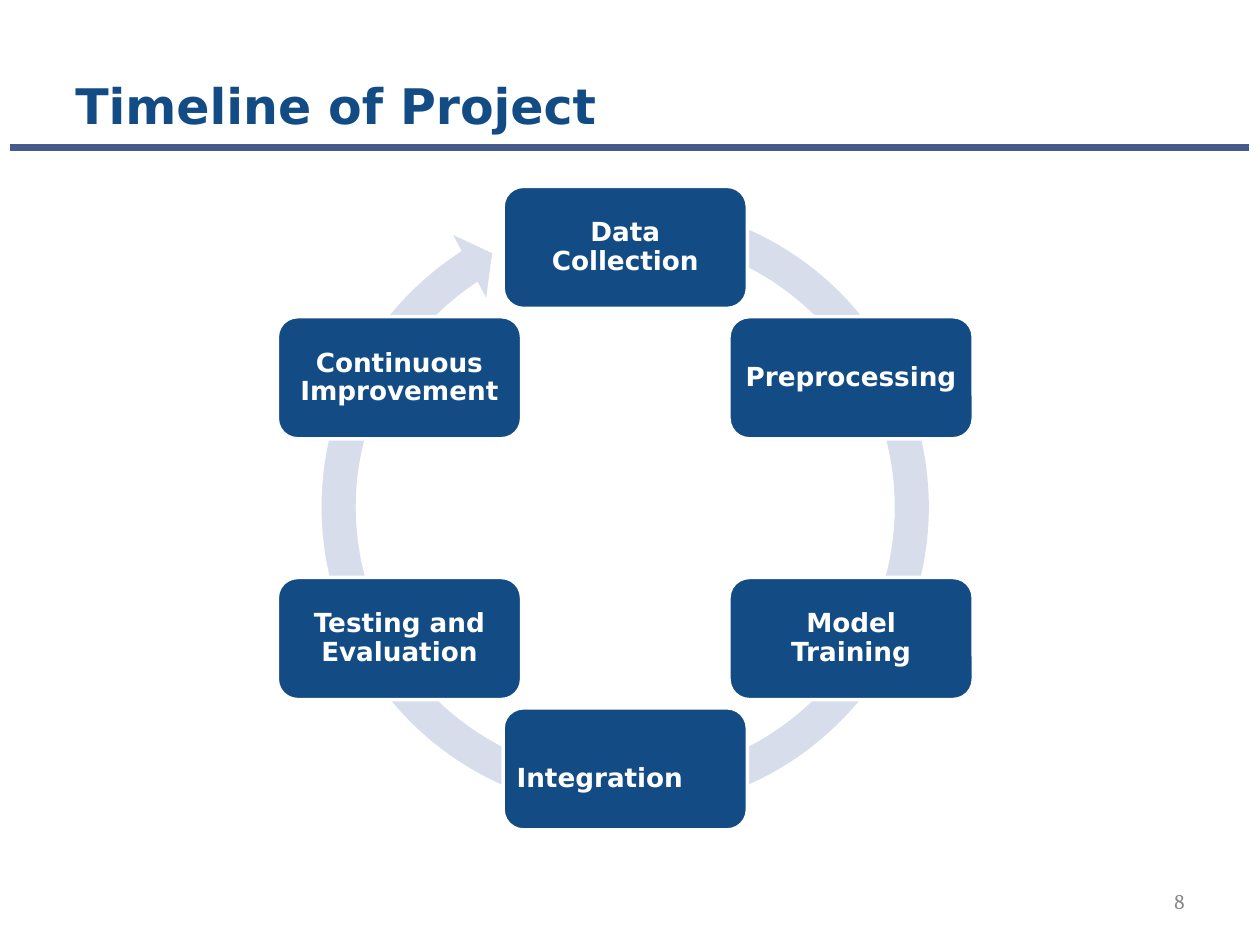
import math

import pptx
import pptx.util
import pptx.dml.color
import pptx.enum.shapes
import pptx.enum.text
from lxml import etree

Pt = pptx.util.Pt
RGB = pptx.dml.color.RGBColor
Shape = pptx.enum.shapes.MSO_SHAPE
Align = pptx.enum.text.PP_ALIGN
Anchor = pptx.enum.text.MSO_ANCHOR

NAVY = RGB(0x13, 0x4C, 0x85)
RULE = RGB(0x47, 0x5A, 0x8D)
PALE = RGB(0xD7, 0xDD, 0xEB)
GREY = RGB(0x89, 0x89, 0x89)
WHITE = RGB(0xFF, 0xFF, 0xFF)

SANS, SERIF = "DejaVu Sans", "Cambria"

# Ring of steps: centre, radius and box size
MID_X, MID_Y, RADIUS = 357.3, 290.4, 149
BOX_W, BOX_H = 139.6, 69.8
ARROW = 368

# Clockwise from the top: text, alignment, line spacing
STEPS = [
    ("Data Collection", Align.CENTER, 0.9),
    ("Preprocessing", Align.CENTER, 0.9),
    ("Model Training", Align.CENTER, 0.9),
    ("Integration", Align.LEFT, 1.5),
    ("Testing and Evaluation", Align.CENTER, 0.9),
    ("Continuous Improvement", Align.CENTER, 0.9),
]


def write(frame, text, size, color, face, align, anchor, bold=False):
    frame.word_wrap = True
    frame.vertical_anchor = anchor
    para = frame.paragraphs[0]
    para.text = text
    para.alignment = align
    font = para.font
    font.name, font.size, font.bold = face, Pt(size), bold
    font.color.rgb = color
    return para


def add_text(slide, left, top, width, height, *style):
    box = slide.shapes.add_textbox(Pt(left), Pt(top), Pt(width), Pt(height))
    write(box.text_frame, *style)


def add_rule(slide, left, right, top):
    kind = pptx.enum.shapes.MSO_CONNECTOR.STRAIGHT
    rule = slide.shapes.add_connector(kind, Pt(left), Pt(top), Pt(right), Pt(top))
    rule.line.color.rgb = RULE
    rule.line.width = Pt(4)
    etree.SubElement(rule._element.spPr, pptx.oxml.ns.qn("a:effectLst"))


def add_shape(slide, kind, mid_x, mid_y, width, height, fill):
    shape = slide.shapes.add_shape(
        kind, Pt(mid_x - width / 2), Pt(mid_y - height / 2), Pt(width), Pt(height))
    shape.shadow.inherit = False
    shape.fill.solid()
    shape.fill.fore_color.rgb = fill
    return shape


def add_arrow(slide):
    arrow = add_shape(slide, Shape.CIRCULAR_ARROW, MID_X, MID_Y - 0.6,
                      ARROW, ARROW, PALE)
    arrow.line.fill.background()
    for i, value in enumerate([0.053, 3.126, 142.28, 171.271, 0.055]):
        arrow.adjustments[i] = value


def add_step(slide, turn, text, align, space):
    angle = 2 * math.pi * turn
    step = add_shape(slide, Shape.ROUNDED_RECTANGLE,
                     MID_X + RADIUS * math.sin(angle),
                     MID_Y - RADIUS * math.cos(angle), BOX_W, BOX_H, NAVY)
    step.line.color.rgb = WHITE
    step.line.width = Pt(2)
    frame = step.text_frame
    frame.margin_left = frame.margin_right = Pt(4.3)
    frame.margin_top = frame.margin_bottom = Pt(4.3)
    para = write(frame, text, 15, WHITE, SANS, align, Anchor.MIDDLE, True)
    para.line_spacing = space


def main():
    deck = pptx.Presentation()
    deck.slide_width, deck.slide_height = Pt(720), Pt(540)
    slide = deck.slides.add_slide(deck.slide_layouts[6])

    # Heading
    add_rule(slide, 6, 714, 84.3)
    add_text(slide, 36, 24.5, 648, 56, "Timeline of Project", 28, NAVY, SANS,
             Align.LEFT, Anchor.BOTTOM, True)

    # Cycle
    add_arrow(slide)
    for i, step in enumerate(STEPS):
        add_step(slide, i / len(STEPS), *step)

    # Page number
    add_text(slide, 516, 500.5, 168, 28.8, "8", 12, GREY, SERIF,
             Align.RIGHT, Anchor.MIDDLE)

    deck.save("out.pptx")


if __name__ == "__main__":
    main()
